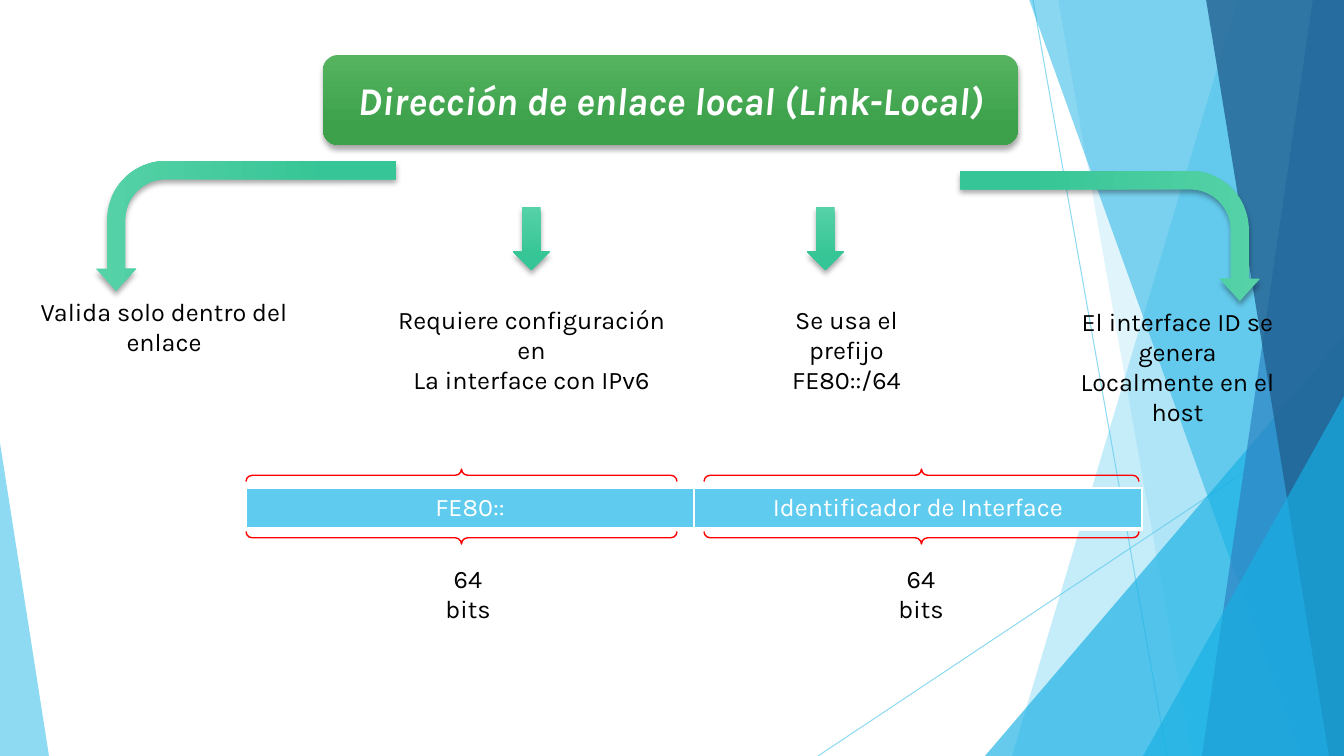
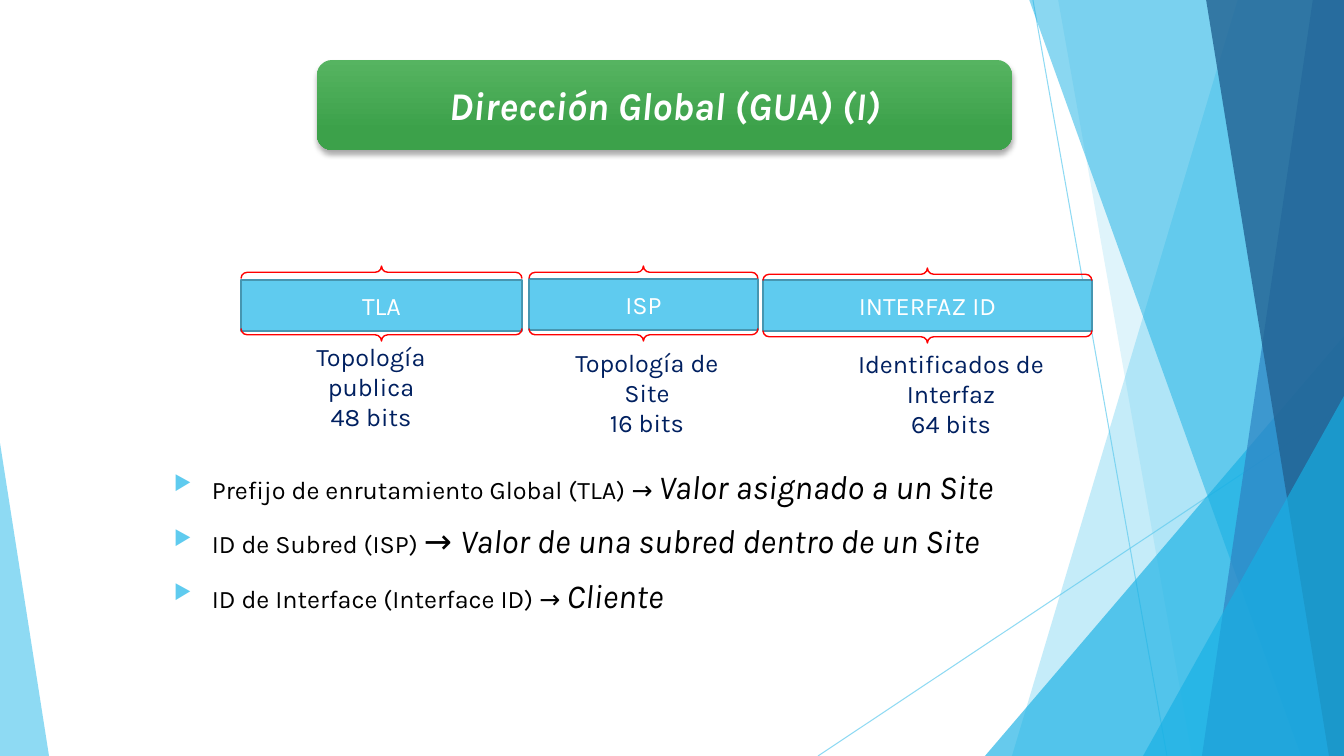
from dataclasses import dataclass
from typing import Optional, Union

from lxml import etree
from pptx import Presentation
from pptx import util as u
from pptx.dml.color import RGBColor
from pptx.enum import shapes, text
from pptx.oxml.ns import qn

EMU_PER_PX = 914400 / 100.8
SLIDE_W, SLIDE_H = 1344, 756
Kind = shapes.MSO_SHAPE


@dataclass(frozen=True)
class Theme:
    font: str = "Karla"
    title_size: int = 28
    answer_size: int = 24
    body_size: int = 18
    sky: str = "5FCBEF"
    cyan: str = "17B0E4"
    blue: str = "2E83C3"
    deep: str = "226292"
    field_edge: str = "4696B1"
    navy: str = "002060"
    black: str = "000000"
    white: str = "FFFFFF"
    red: str = "FF0000"
    green: tuple = ("56B461", "3CA14A")
    mint: tuple = ("56D2A7", "36C596")


THEME = Theme()


@dataclass(frozen=True)
class Box:
    x: int
    y: int
    w: int
    h: int


@dataclass(frozen=True)
class Ray:
    start: tuple
    end: tuple


@dataclass(frozen=True)
class Panel:
    """Band down to the right edge, slanted on its left side."""
    top_x: int
    bottom_x: int
    color: str
    alpha: int


@dataclass(frozen=True)
class Wedge:
    box: Box
    apex: int
    color: str
    alpha: int


@dataclass(frozen=True)
class Note:
    box: Box
    lines: tuple
    color: str = THEME.black
    fill: Optional[str] = None


@dataclass(frozen=True)
class Field:
    label: str
    box: Box
    brace_y: int
    caption: Note


@dataclass(frozen=True)
class Span:
    words: str
    size: int = THEME.body_size
    italic: bool = False


BACKDROP: tuple[Union[Ray, Panel, Wedge], ...] = (
    Ray((1033, 0), (1167, SLIDE_H)),
    Ray((SLIDE_W, 406), (818, SLIDE_H)),
    Panel(1238, 1012, THEME.sky, 36),
    Panel(1058, 1192, THEME.sky, 20),
    Wedge(Box(985, 336, 359, 420), 1, THEME.cyan, 66),
    Panel(1029, 1301, THEME.cyan, 50),
    Panel(1313, 1202, THEME.blue, 70),
    Panel(1206, 1329, THEME.deep, 80),
    Wedge(Box(1143, 396, 201, 360), 1, THEME.cyan, 66),
    Wedge(Box(0, 443, 49, 313), 0, THEME.sky, 70),
)

FEATURES = (
    Note(Box(5, 291, 318, 70), ("Valida solo dentro del enlace",)),
    Note(Box(386, 299, 291, 100), ("Requiere configuración en", "La interface con IPv6")),
    Note(Box(755, 299, 183, 100), ("Se usa el prefijo", "FE80::/64")),
    Note(Box(1043, 301, 269, 130), ("El interface ID se genera", "Localmente en el host")),
)

GUA_FIELDS = (
    Field("TLA", Box(241, 280, 281, 51), 266,
          Note(Box(268, 336, 206, 101), ("Topología publica", "48 bits"), THEME.navy)),
    Field("ISP", Box(529, 279, 229, 51), 266,
          Note(Box(546, 342, 202, 101), ("Topología de Site", "16 bits"), THEME.navy)),
    Field("INTERFAZ ID", Box(763, 280, 329, 51), 268,
          Note(Box(814, 343, 274, 101), ("Identificados de Interfaz", "64 bits"),
               THEME.navy, THEME.white)),
)

BIG = THEME.answer_size
DEFINITIONS = (
    (Span("Prefijo de enrutamiento Global (TLA) → "),
     Span("Valor asignado a un Site", BIG, True)),
    (Span("ID de Subred (ISP) "), Span("→ ", BIG),
     Span("Valor de una subred dentro de un Site", BIG, True)),
    (Span("ID de Interface (Interface ID) → "), Span("Cliente", BIG, True)),
)


# Basics
def px(length: float) -> int:
    return round(length * EMU_PER_PX)


def rgb(color: str) -> RGBColor:
    return RGBColor.from_string(color)


def place(box: Box) -> tuple:
    return px(box.x), px(box.y), px(box.w), px(box.h)


def child(parent, tag: str, **attributes):
    return etree.SubElement(parent, qn(tag), {k: str(v) for k, v in attributes.items()})


def fade(shape, alpha: int) -> None:
    color = next(shape._element.iter(qn("a:srgbClr")))
    child(color, "a:alpha", val=alpha * 1000)


def style_font(font, color: str, size: int = THEME.body_size,
               bold: bool = False, italic: bool = False) -> None:
    font.name, font.size = THEME.font, u.Pt(size)
    font.bold, font.italic = bold, italic
    font.color.rgb = rgb(color)


def set_lines(frame, lines: tuple, color: str, **style) -> None:
    frame.text = "\n".join(lines)
    for paragraph in frame.paragraphs:
        paragraph.alignment = text.PP_ALIGN.CENTER
        for run in paragraph.runs:
            style_font(run.font, color, **style)


def paint(shape, fill: Optional[str]) -> None:
    shape.shadow.inherit = False
    shape.line.fill.background()
    if fill:
        shape.fill.solid()
        shape.fill.fore_color.rgb = rgb(fill)
    else:
        shape.fill.background()


def add_preset(slide, kind, box: Box, fill: Optional[str] = None):
    shape = slide.shapes.add_shape(kind, *place(box))
    paint(shape, fill)
    return shape


def add_turned(slide, kind, seen: Box, angle: int):
    """Place a shape turned a quarter so that it covers the seen box."""
    shift = (seen.w - seen.h) / 2
    shape = slide.shapes.add_shape(
        kind, px(seen.x + shift), px(seen.y - shift), px(seen.h), px(seen.w))
    paint(shape, None)
    shape.rotation = angle
    return shape


def add_gloss(shape, colors: tuple) -> None:
    shape.fill.gradient()
    shape.fill.gradient_angle = 270
    for stop, color, position in zip(shape.fill.gradient_stops, colors, (0, 0.78)):
        stop.color.rgb = rgb(color)
        stop.position = position
    effects = shape._element.spPr.find(qn("a:effectLst"))
    shadow = child(effects, "a:outerShdw", blurRad=u.Pt(4), dist=u.Pt(3),
                   dir=5400000, algn="ctr", rotWithShape=0)
    child(child(shadow, "a:srgbClr", val=THEME.black), "a:alpha", val=35000)


# Parts shared by the slides
def add_backdrop(slide) -> None:
    for part in BACKDROP:
        if isinstance(part, Ray):
            ray = slide.shapes.add_connector(
                shapes.MSO_CONNECTOR.STRAIGHT, *map(px, part.start + part.end))
            ray.line.color.rgb = rgb(THEME.sky)
            ray.line.width = u.Pt(0.75)
            fade(ray, 70)
            child(ray._element.spPr, "a:effectLst")
            continue
        if isinstance(part, Panel):
            outline = slide.shapes.build_freeform(part.top_x, -1, scale=EMU_PER_PX)
            outline.add_line_segments(
                [(SLIDE_W, -1), (SLIDE_W, SLIDE_H), (part.bottom_x, SLIDE_H)])
            shape = outline.convert_to_shape()
            paint(shape, part.color)
        else:
            shape = add_preset(slide, Kind.ISOSCELES_TRIANGLE, part.box, part.color)
            shape.adjustments[0] = part.apex
        fade(shape, part.alpha)


def add_title(slide, x: int, y: int, words: str) -> None:
    banner = add_preset(slide, Kind.ROUNDED_RECTANGLE, Box(x, y, 695, 90))
    add_gloss(banner, THEME.green)
    set_lines(banner.text_frame, (words,), THEME.white,
              size=THEME.title_size, bold=True, italic=True)


def add_note(slide, note: Note) -> None:
    caption = slide.shapes.add_textbox(*place(note.box))
    if note.fill:
        paint(caption, note.fill)
    caption.text_frame.word_wrap = True
    set_lines(caption.text_frame, note.lines, note.color)


def add_brace(slide, x: int, y: int, width: int) -> None:
    brace = add_turned(slide, Kind.DOUBLE_BRACE, Box(x, y, width, 75), 270)
    brace.line.color.rgb = rgb(THEME.red)
    brace.line.width = u.Pt(1)


# Link-local slide
def add_branches(slide) -> None:
    for x in (513, 807):
        add_gloss(add_preset(slide, Kind.DOWN_ARROW, Box(x, 207, 37, 63)), THEME.mint)
    for x, y, angle in ((960, 171, 90), (96, 161, 270)):
        bend = add_turned(slide, Kind.BENT_ARROW, Box(x, y, 300, 130), angle)
        for index, value in enumerate((0.139, 0.155, 0.171, 0.453)):
            bend.adjustments[index] = value
        if angle == 270:
            bend._element.spPr.find(qn("a:xfrm")).set("flipH", "1")
        add_gloss(bend, THEME.mint)


def add_address_table(slide) -> None:
    labels = ("FE80::", "Identificador de Interface")
    table = slide.shapes.add_table(1, len(labels), *place(Box(246, 488, 896, 41))).table
    table.first_row = table.horz_banding = False
    for cell, label in zip(table.rows[0].cells, labels):
        set_lines(cell.text_frame, (label,), THEME.white)
        properties = cell._tc.get_or_add_tcPr()
        for side, width in (("L", 1), ("R", 1), ("T", 1), ("B", 3)):
            edge = child(properties, f"a:ln{side}", w=u.Pt(width))
            child(child(edge, "a:solidFill"), "a:srgbClr", val=THEME.white)
        cell.fill.solid()
        cell.fill.fore_color.rgb = rgb(THEME.sky)


def build_link_local(slide) -> None:
    add_title(slide, 323, 55, "Dirección de enlace local (Link-Local)")
    add_branches(slide)
    for feature in FEATURES:
        add_note(slide, feature)
    add_address_table(slide)
    for brace_x, width, bits_x in ((246, 431, 423), (704, 435, 876)):
        add_brace(slide, brace_x, 469, width)
        add_note(slide, Note(Box(bits_x, 558, 90, 70), ("64 bits",)))


# Global address slide
def add_definitions(slide) -> None:
    frame = slide.shapes.add_textbox(*place(Box(164, 461, 1105, 197))).text_frame
    frame.word_wrap = True
    for index, spans in enumerate(DEFINITIONS):
        paragraph = frame.add_paragraph() if index else frame.paragraphs[0]
        if index:
            paragraph.space_before = u.Pt(10)
        properties = paragraph._p.get_or_add_pPr()
        properties.set("marL", str(px(38)))
        properties.set("indent", str(-px(38)))
        child(child(properties, "a:buClr"), "a:srgbClr", val=THEME.sky)
        child(properties, "a:buSzPct", val=80000)
        child(properties, "a:buChar", char="▶")
        for span in spans:
            run = paragraph.add_run()
            run.text = span.words
            style_font(run.font, THEME.black, span.size, italic=span.italic)


def build_global(slide) -> None:
    add_title(slide, 317, 60, "Dirección Global (GUA) (I)")
    for field in GUA_FIELDS:
        segment = add_preset(slide, Kind.RECTANGLE, field.box, THEME.sky)
        segment.line.color.rgb = rgb(THEME.field_edge)
        segment.line.width = u.Pt(1.5)
        set_lines(segment.text_frame, (field.label,), THEME.white)
        add_note(slide, field.caption)
        add_brace(slide, field.box.x, field.brace_y, field.box.w)
    add_definitions(slide)


def main() -> None:
    deck = Presentation()
    deck.slide_width, deck.slide_height = px(SLIDE_W), px(SLIDE_H)
    for build in (build_link_local, build_global):
        slide = deck.slides.add_slide(deck.slide_layouts[6])
        add_backdrop(slide)
        build(slide)
    deck.save("out.pptx")


if __name__ == "__main__":
    main()
